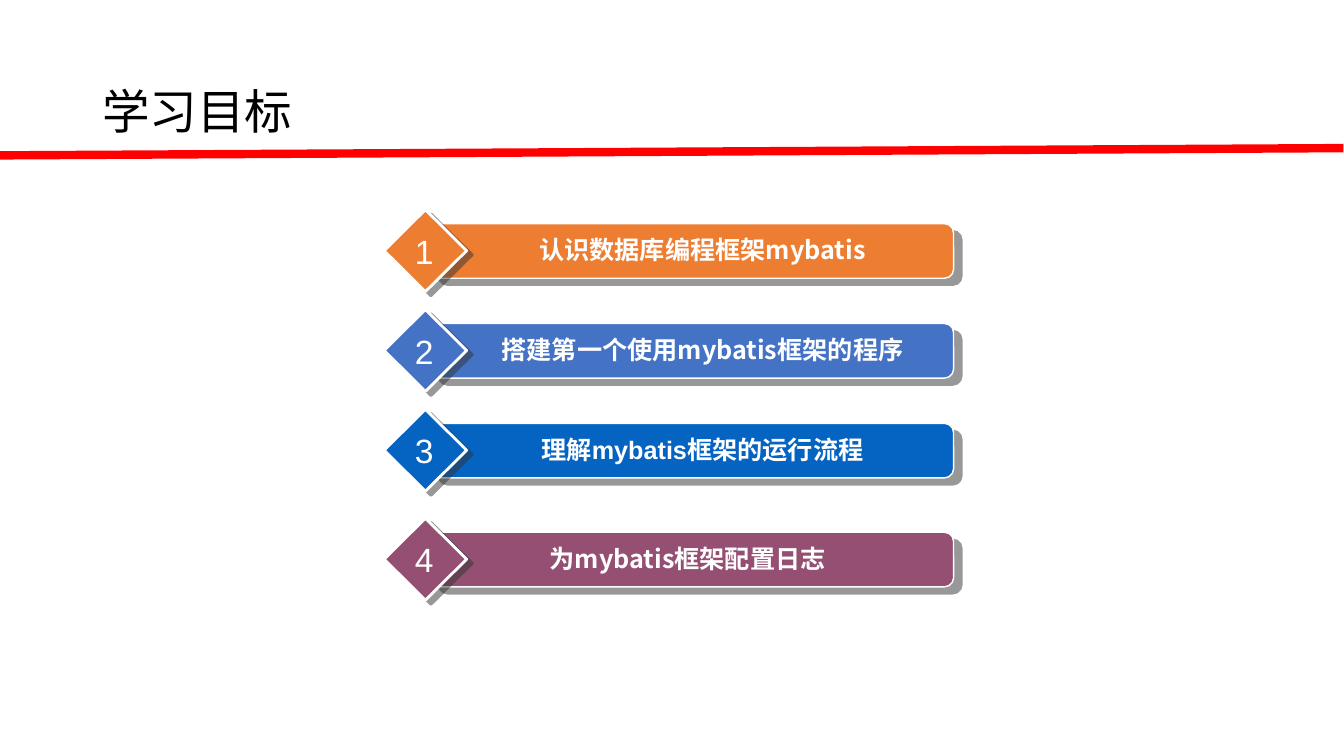
from lxml import etree
from pptx import Presentation
from pptx import util as u
from pptx.dml.color import RGBColor
from pptx.enum import shapes, text
from pptx.oxml import ns

Pt = u.Pt
HUES = {
    "ink": "000000", "white": "FFFFFF", "rule": "FF0000", "shade": "333333",
    "orange": "ED7D31", "blue": "4472C4", "azure": "0563C1", "plum": "954F72",
}
CJK = "Noto Sans CJK SC"
GOALS = [
    (159.8, "orange", "认识数据库编程框架mybatis", CJK, 350),
    (231.1, "blue", "搭建第一个使用mybatis框架的程序", CJK, 350),
    (302.4, "azure", "理解mybatis框架的运行流程", "Arial", 350),
    (380.2, "plum", "为mybatis框架配置日志", CJK, 329),
]


class Deck:
    def __init__(self, slide):
        self.slide = slide
        self.items = slide.shapes

    def hue(self, name):
        return RGBColor.from_string(HUES[name])

    def sub(self, node, tag, **attrs):
        return etree.SubElement(node, ns.qn(tag), attrs)

    def fill_text(self, frame, words, size, face, hue, align, bold=False):
        para = frame.paragraphs[0]
        para.text = words
        para.alignment = align
        font = para.font
        font.size, font.bold, font.name = Pt(size), bold, face
        font.color.rgb = self.hue(hue)
        self.sub(para._p.pPr.find(ns.qn("a:defRPr")), "a:ea", typeface=CJK)
        return para

    def title(self, words, x, y, w, h):
        box = self.items.title
        box.left, box.top, box.width, box.height = map(Pt, (x, y, w, h))
        frame = box.text_frame
        frame.auto_size = text.MSO_AUTO_SIZE.NONE
        frame.vertical_anchor = text.MSO_ANCHOR.MIDDLE
        para = self.fill_text(frame, words, 34, "Calibri", "ink", text.PP_ALIGN.LEFT)
        para.line_spacing = 0.9

    def shape(self, kind, x, y, w, h, hue, edge, dist, angle):
        item = self.items.add_shape(kind, *map(Pt, (x, y, w, h)))
        item.fill.solid()
        item.fill.fore_color.rgb = self.hue(hue)
        item.line.color.rgb = self.hue("white")
        item.line.width = Pt(edge)
        item.shadow.inherit = False
        glow = item._element.spPr.find(ns.qn("a:effectLst"))
        cast = self.sub(glow, "a:outerShdw", blurRad="0", dist=str(Pt(dist)),
                        dir=str(angle * 60000), algn="ctr", rotWithShape="0")
        tint = self.sub(cast, "a:srgbClr", val=HUES["shade"])
        self.sub(tint, "a:alpha", val="50000")

    def label(self, words, x, y, w, h, size, face, bold=False, wrap=True):
        frame = self.items.add_textbox(*map(Pt, (x, y, w, h))).text_frame
        frame.word_wrap = wrap
        frame.auto_size = text.MSO_AUTO_SIZE.SHAPE_TO_FIT_TEXT
        frame.margin_left = frame.margin_right = Pt(5)
        frame.margin_top = frame.margin_bottom = Pt(2.6)
        self.fill_text(frame, words, size, face, "white", text.PP_ALIGN.CENTER, bold)

    def rule(self, x1, y1, x2, y2, hue, width):
        line = self.items.add_connector(
            shapes.MSO_CONNECTOR.STRAIGHT, *map(Pt, (x1, y1, x2, y2)))
        line.line.color.rgb = self.hue(hue)
        line.line.width = Pt(width)
        self.sub(line._element.spPr, "a:effectLst")

    def goal(self, num, top, hue, words, face, width):
        kinds = shapes.MSO_SHAPE
        self.shape(kinds.ROUNDED_RECTANGLE, 307.5, top, 374, 39, hue, 1, 7.8, 40)
        self.shape(kinds.DIAMOND, 274.5, top - 10, 59, 58.5, hue, 2, 5, 37)
        self.label(words, 327, top + 5, width, 27.5, 18, face, bold=True)
        self.label(str(num), 291, top + 2.3, 24.5, 34.5, 24, "Arial", wrap=False)


def main():
    prs = Presentation()
    prs.slide_width, prs.slide_height = Pt(960.48), Pt(540)
    deck = Deck(prs.slides.add_slide(prs.slide_layouts[5]))
    deck.title("学习目标", 66, 29, 828, 104.4)
    for num, goal in enumerate(GOALS, 1):
        deck.goal(num, *goal)
    deck.rule(0, 111, 960, 105.8, "rule", 6)
    prs.save("out.pptx")


if __name__ == "__main__":
    main()
